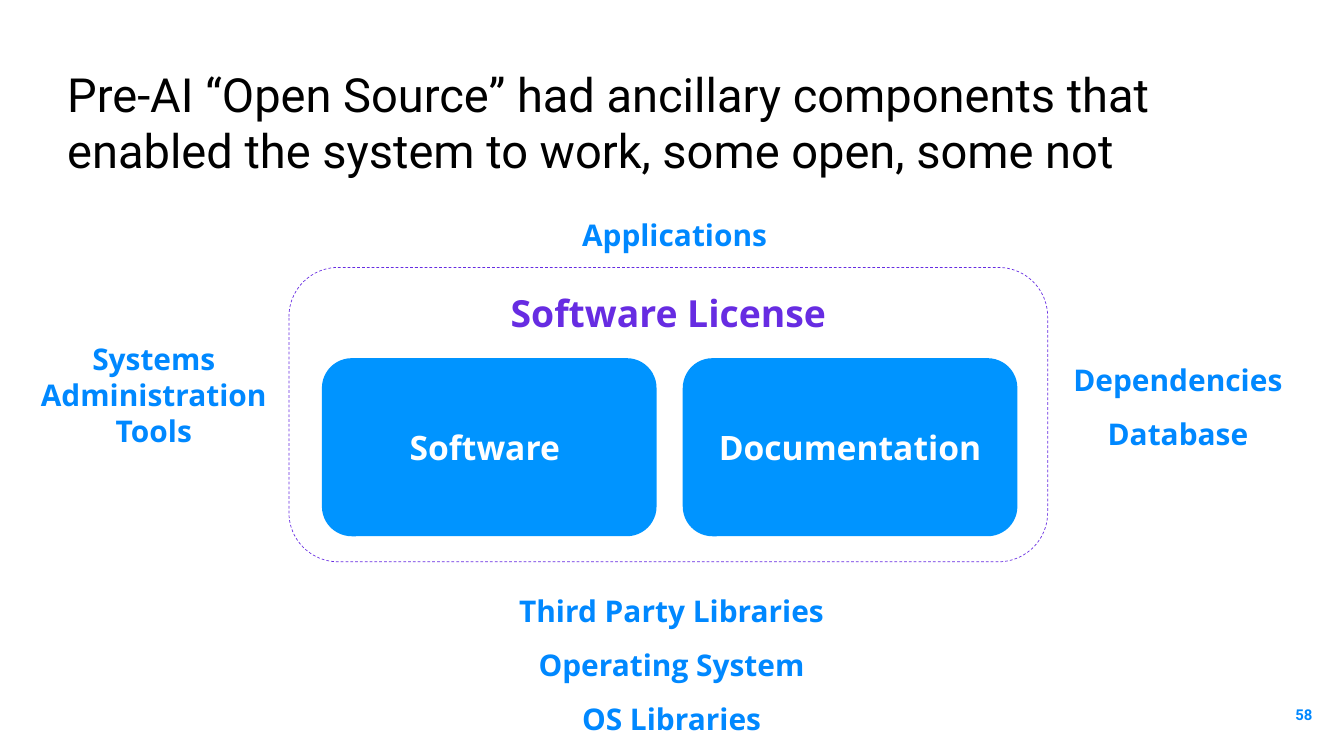
from pptx import Presentation
from pptx.dml.color import RGBColor
from pptx.enum.dml import MSO_LINE
from pptx.enum.shapes import MSO_SHAPE
from pptx.enum.text import MSO_ANCHOR, PP_ALIGN
from pptx.util import Inches, Pt

THEME = {
    "title": {"name": "Roboto", "size": 50.4, "color": "000000", "bold": False},
    "number": {"name": "Roboto", "size": 16, "color": "0088FF", "bold": True},
    "label": {"name": "Open Sans", "size": 32, "color": "0088FF", "bold": True},
    "license": {"name": "Open Sans", "size": 40, "color": "672CE2", "bold": True},
    "card": {"name": "Open Sans", "size": 36, "color": "FFFFFF", "bold": True},
    "card_fill": "0094FF",
    "frame_fill": "FFFFFF",
    "frame_line": "672CE2",
}

TITLE = ("Pre-AI “Open Source” had ancillary components that "
         "enabled the system to work, some open, some not")
PAGE_NUMBER = "58"
LICENSE = "Software License"
CARDS = ["Software ", "Documentation"]
ANCILLARY = [  # lines, (left, top, width, height)
    (["Third Party Libraries", "Operating System", "OS Libraries"], (7.22, 8.36, 5.55, 2.56)),
    (["Dependencies", "Database"], (15.6, 4.92, 3.86, 1.75)),
    (["Systems Administration Tools"], (0.36, 4.87, 3.86, 2.02)),
    (["Applications"], (7.59, 3.03, 4.9, 0.94)),
]

FRAME = (4.3, 3.98, 11.29, 4.38)
CARD_LEFT, CARD_TOP, CARD_WIDTH, CARD_HEIGHT, CARD_GAP = 4.79, 5.33, 4.98, 2.65, 0.39
CORNER = 0.167
INSET = 0.2


def write(shape, lines, style, align=PP_ALIGN.CENTER, anchor=MSO_ANCHOR.TOP, inset=INSET):
    frame = shape.text_frame
    settings = {"word_wrap": True, "vertical_anchor": anchor}
    for side in ("left", "top", "right", "bottom"):
        settings[f"margin_{side}"] = Inches(inset)
    for key, value in settings.items():
        setattr(frame, key, value)
    look = THEME[style]
    for index, line in enumerate(lines):
        paragraph = frame.add_paragraph() if index else frame.paragraphs[0]
        paragraph.alignment = align
        if len(lines) > 1:
            paragraph.line_spacing = 1.5
        span = paragraph.add_run()
        span.text = line
        formats = {"name": look["name"], "size": Pt(look["size"]), "bold": look["bold"]}
        for key, value in formats.items():
            setattr(span.font, key, value)
        span.font.color.rgb = RGBColor.from_string(look["color"])


def add_text(page, place, lines, style, **layout):
    box = page.shapes.add_textbox(*map(Inches, place))
    write(box, lines, style, **layout)


def add_rounded(page, place, fill):
    shape = page.shapes.add_shape(MSO_SHAPE.ROUNDED_RECTANGLE, *map(Inches, place))
    shape.adjustments[0] = CORNER
    shape.shadow.inherit = False
    shape.fill.solid()
    shape.fill.fore_color.rgb = RGBColor.from_string(fill)
    shape.line.fill.background()
    return shape


def main():
    deck = Presentation()
    deck.slide_width, deck.slide_height = Inches(20), Inches(11.25)
    page = deck.slides.add_slide(deck.slide_layouts[6])

    add_text(page, (1, 0.97, 18.64, 1.25), [TITLE], "title", align=PP_ALIGN.LEFT, inset=0)
    add_text(page, (18.53, 10.2, 1.2, 0.86), [PAGE_NUMBER], "number",
             align=PP_ALIGN.RIGHT, anchor=MSO_ANCHOR.MIDDLE)
    for lines, place in ANCILLARY:
        add_text(page, place, lines, "label")

    border = add_rounded(page, FRAME, THEME["frame_fill"]).line
    border.color.rgb = RGBColor.from_string(THEME["frame_line"])
    border.width = Pt(0.75)
    border.dash_style = MSO_LINE.DASH

    for index, name in enumerate(CARDS):
        left = CARD_LEFT + index * (CARD_WIDTH + CARD_GAP)
        card = add_rounded(page, (left, CARD_TOP, CARD_WIDTH, CARD_HEIGHT), THEME["card_fill"])
        write(card, [name], "card", anchor=MSO_ANCHOR.MIDDLE)
    add_text(page, (6.95, 4.12, 5.99, 1.08), [LICENSE], "license")

    deck.save("out.pptx")


if __name__ == "__main__":
    main()
